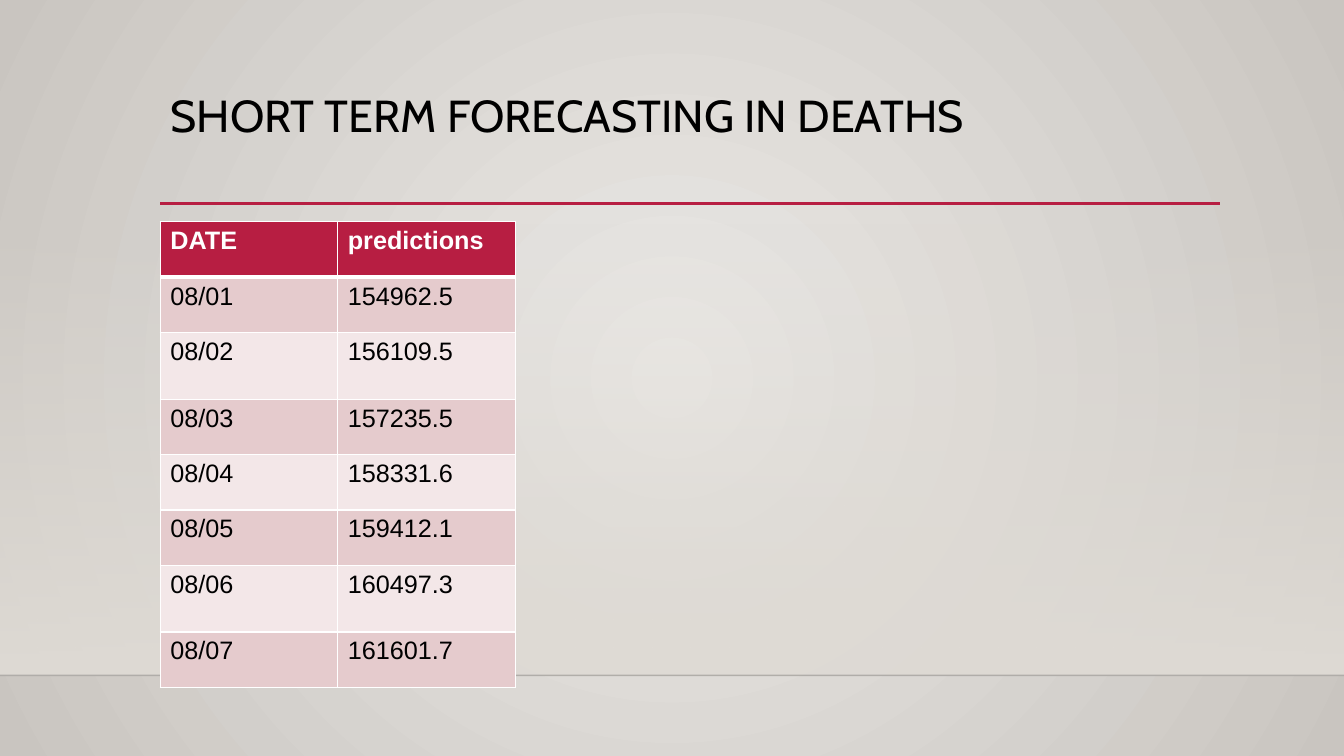
from pptx import Presentation
from pptx.dml.color import RGBColor
from pptx.enum.shapes import MSO_CONNECTOR as Connector, MSO_SHAPE as Shape
from pptx.enum.text import MSO_ANCHOR as Anchor, PP_ALIGN as Align
from pptx.oxml import parse_xml
from pptx.oxml.ns import nsdecls
from pptx.util import Inches, Pt

WIDTH, HEIGHT = 13.33, 7.5
LEFT, FLOOR = 1.59, 6.7
CRIMSON, WHITE, BLACK = "B71E42", "FFFFFF", "000000"
BANDS = ["E5CBCD", "F3E7E8"]
ROW, TALL_ROW = 0.55, 0.66
TALL_DATES = {"08/02", "08/06"}
FORECAST = [
    ("DATE", "predictions"),
    ("08/01", "154962.5"),
    ("08/02", "156109.5"),
    ("08/03", "157235.5"),
    ("08/04", "158331.6"),
    ("08/05", "159412.1"),
    ("08/06", "160497.3"),
    ("08/07", "161601.7"),
]


def color(value):
    return RGBColor.from_string(value)


def drawing(markup):
    """Parse one element, adding the drawing namespace to its tag."""
    tag, rest = markup.split(" ", 1)
    return parse_xml(f"{tag} {nsdecls('a')} {rest}")


def set_gradient(holder, stops, direction):
    """Swap the solid fill of the holder for a gradient."""
    marks = "".join(
        f'<a:gs pos="{place * 1000}"><a:srgbClr val="{value}">'
        f'<a:alpha val="{opacity * 1000}"/></a:srgbClr></a:gs>'
        for place, value, opacity in stops)
    solid = holder.xpath("./a:solidFill")[0]
    holder.replace(solid, drawing(
        f'<a:gradFill rotWithShape="1"><a:gsLst>{marks}</a:gsLst>{direction}</a:gradFill>'))


def style_text(frame, size, font, value, bold=False):
    para = frame.paragraphs[0]
    para.alignment = Align.LEFT
    formats = {"size": Pt(size), "name": font, "bold": bold}
    for span in para.runs:
        for name, setting in formats.items():
            setattr(span.font, name, setting)
        span.font.color.rgb = color(value)
    return para


def add_rule(page, left, top, width, value, weight, opacity=100):
    rule = page.shapes.add_connector(
        Connector.STRAIGHT, Inches(left), Inches(top), Inches(left + width), Inches(top))
    rule.line.color.rgb = color(value)
    rule.line.width = Pt(weight)
    if opacity < 100:
        tint = rule.element.spPr.xpath(".//a:srgbClr")[0]
        tint.append(drawing(f'<a:alpha val="{opacity * 1000}"/>'))
    rule.element.spPr.append(drawing("<a:effectLst />"))


def add_backdrop(page):
    # Round glow behind everything
    page.background.fill.solid()
    page.background.fill.fore_color.rgb = color(WHITE)
    set_gradient(
        page.element.xpath(".//p:bgPr")[0],
        [(0, "EBE9E6", 100), (100, "C9C5C0", 100)],
        '<a:path path="circle"><a:fillToRect l="50000" t="50000" r="50000" b="50000"/></a:path>')

    # Wall that fades in down to the floor line
    wall_height = 4.49
    wall = page.shapes.add_shape(
        Shape.RECTANGLE, 0, Inches(FLOOR - wall_height), Inches(WIDTH), Inches(wall_height))
    wall.shadow.inherit = False
    wall.line.fill.background()
    wall.fill.solid()
    wall.fill.fore_color.rgb = color(WHITE)
    set_gradient(wall.element.spPr, [(0, "DFDBD5", 0), (100, "DFDBD5", 100)],
                 '<a:lin ang="5400000" scaled="0"/>')
    add_rule(page, 0, FLOOR, WIDTH, "000001", 1, opacity=20)


def add_heading(page, text, left, top, width, height):
    title = page.shapes.title
    title.left, title.top = Inches(left), Inches(top)
    title.width, title.height = Inches(width), Inches(height)
    frame = title.text_frame
    frame.text = text
    frame.word_wrap = True
    frame.vertical_anchor = Anchor.TOP
    style_text(frame, 32, "Cabin", BLACK).line_spacing = 0.9
    add_rule(page, left, top + height - 0.01, width + 0.01, CRIMSON, 2.5)


def set_borders(cell, weights):
    holder = cell._tc.get_or_add_tcPr()
    for index, (side, weight) in enumerate(weights.items()):
        holder.insert(index, drawing(
            f'<a:ln{side} w="{Pt(weight)}"><a:solidFill><a:srgbClr val="{WHITE}"/>'
            f'</a:solidFill></a:ln{side}>'))


def add_forecast(page, rows, left, top, column):
    count = len(rows[0])
    heights = [TALL_ROW if row[0] in TALL_DATES else ROW for row in rows]
    table = page.shapes.add_table(
        len(rows), count, Inches(left), Inches(top),
        Inches(column * count), Inches(sum(heights))).table
    for part in table.columns:
        part.width = Inches(column)
    for index, (row, height) in enumerate(zip(rows, heights)):
        header = index == 0
        table.rows[index].height = Inches(height)
        for place, text in enumerate(row):
            cell = table.cell(index, place)
            cell.text = text
            cell.fill.solid()
            cell.fill.fore_color.rgb = color(CRIMSON if header else BANDS[(index - 1) % 2])
            style_text(cell.text_frame, 18, "Arial", WHITE if header else BLACK, header)
            set_borders(cell, {"L": 1, "R": 1, "T": 3 if index == 1 else 1,
                               "B": 3 if header else 1})


def main():
    deck = Presentation()
    deck.slide_width, deck.slide_height = Inches(WIDTH), Inches(HEIGHT)
    page = deck.slides.add_slide(deck.slide_layouts[5])
    add_backdrop(page)
    add_heading(page, "SHORT TERM FORECASTING IN DEATHS", LEFT, 0.88, 10.5, 1.15)
    add_forecast(page, FORECAST, LEFT, 2.2, 1.76)
    deck.save("out.pptx")


if __name__ == "__main__":
    main()
